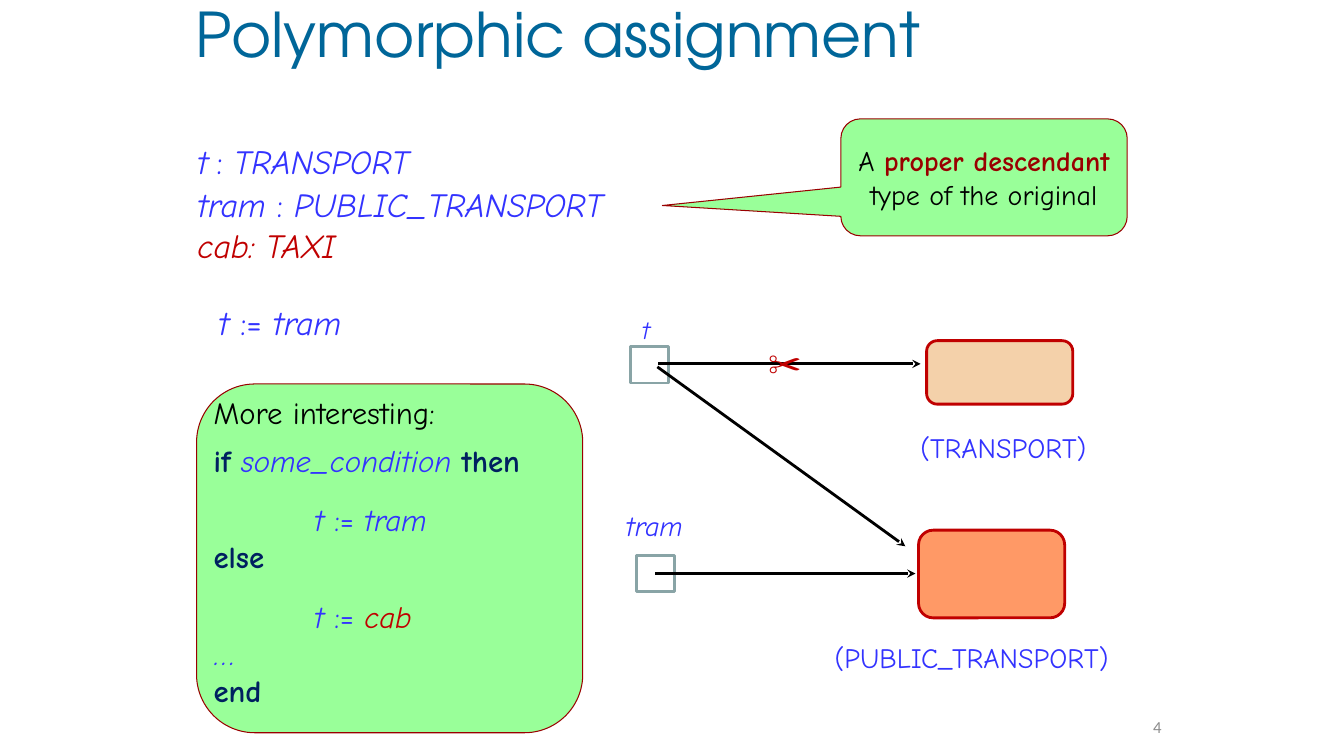
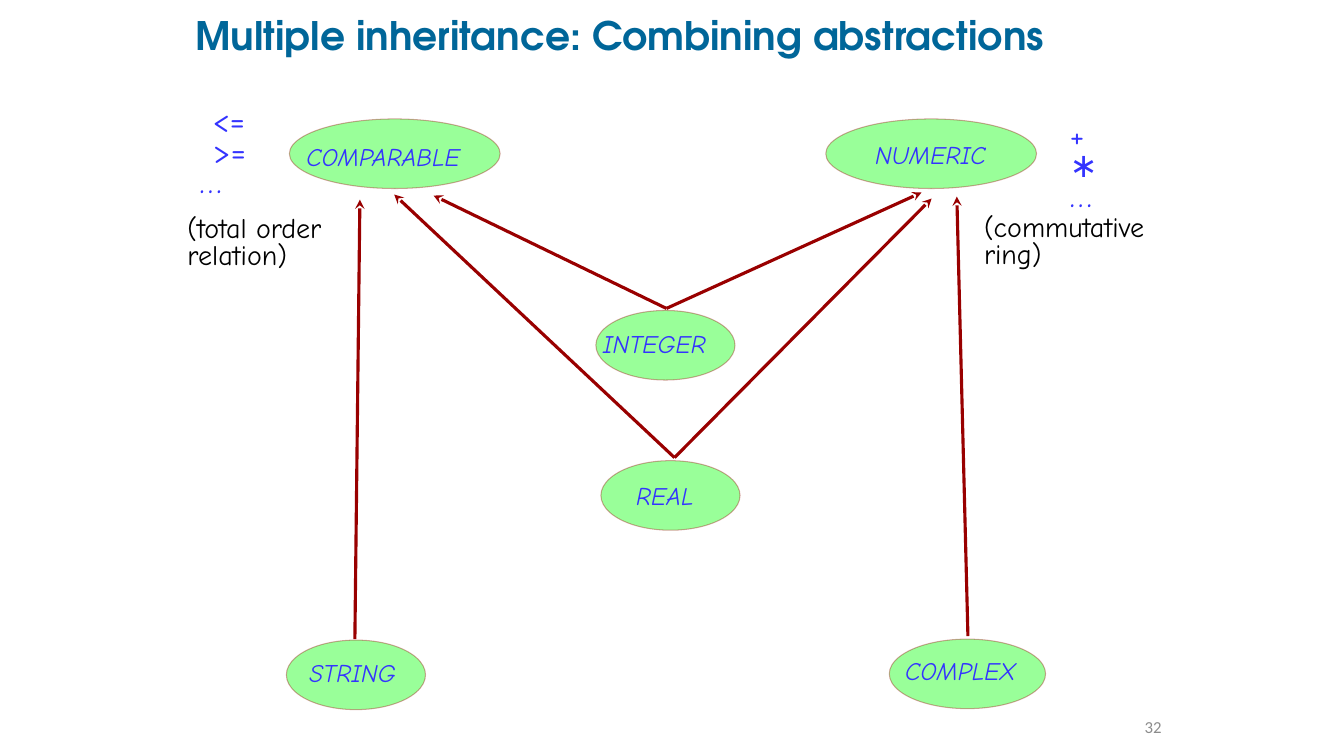
from dataclasses import dataclass

from lxml.etree import SubElement
from pptx import Presentation
from pptx.dml.color import RGBColor
from pptx.enum.shapes import MSO_CONNECTOR, MSO_SHAPE
from pptx.enum.text import MSO_ANCHOR, MSO_AUTO_SIZE, PP_ALIGN
from pptx.oxml.ns import qn
from pptx.util import Inches, Pt


@dataclass(frozen=True)
class Theme:
    # Colours
    title: str = "006699"
    code: str = "3333FF"
    keyword: str = "002060"
    accent: str = "C00000"
    outline: str = "990000"
    panel: str = "99FF99"
    transport: str = "F4D1AA"
    public_transport: str = "FF9966"
    reference: str = "89A4A6"
    ink: str = "000000"
    muted: str = "8C8C8C"
    # Fonts
    title_font: str = "TeX Gyre Adventor"
    text_font: str = "Comic Neue"
    symbol_font: str = "Roboto"
    number_font: str = "Calibri"
    # Type sizes
    heading: int = 44
    subheading: int = 28
    large: int = 24
    example: int = 22
    medium: int = 20
    small: int = 18
    number: int = 12


THEME = Theme()
TEXT_INSETS = (0.1, 0.05, 0.1, 0.05)
NO_INSETS = (0, 0, 0, 0)


@dataclass
class Para:
    """Text is a string, or a list of (text, style changes) pairs."""
    text: object
    size: int = THEME.large
    color: str = THEME.code
    font: str = THEME.text_font
    bold: bool = False
    italic: bool = False
    spacing: float = 1.0
    before: float = 0
    indent: float = 0
    align: object = PP_ALIGN.LEFT

    def style(self, **changes):
        base = dict(size=self.size, color=self.color, face=self.font,
                    bold=self.bold, italic=self.italic)
        return {**base, **changes}


# Text
def set_font(font, face, size, color, bold, italic):
    font.name = face
    font.size = Pt(size)
    font.bold = bold
    font.italic = italic
    font.color.rgb = RGBColor.from_string(color)


def set_text(frame, paras, insets=TEXT_INSETS, anchor=MSO_ANCHOR.TOP):
    frame.word_wrap = True
    frame.auto_size = MSO_AUTO_SIZE.NONE
    frame.vertical_anchor = anchor
    (frame.margin_left, frame.margin_top,
     frame.margin_right, frame.margin_bottom) = map(Inches, insets)
    for index, para in enumerate(paras):
        line = frame.add_paragraph() if index else frame.paragraphs[0]
        line.alignment = para.align
        line.line_spacing = para.spacing
        line.space_before = Pt(para.before)
        line.space_after = Pt(0)
        properties = line._p.get_or_add_pPr()
        properties.set("marL", str(Inches(para.indent)))
        properties.set("indent", "0")
        SubElement(properties, qn("a:buNone"))
        if isinstance(para.text, str):
            line.add_run().text = para.text
            set_font(line.font, **para.style())
        else:
            for text, changes in para.text:
                run = line.add_run()
                run.text = text
                set_font(run.font, **para.style(**changes))


def place(shape, at):
    shape.left, shape.top, shape.width, shape.height = map(Inches, at)


def add_title(slide, text, width, size, bold=False):
    title = slide.shapes.title
    place(title, (1.94, 0.13, width, 0.48))
    heading = Para(text, size, THEME.title, THEME.title_font, bold, spacing=0.9)
    set_text(title.text_frame, [heading], NO_INSETS, MSO_ANCHOR.MIDDLE)


def add_text(slide, at, *paras, insets=TEXT_INSETS, anchor=MSO_ANCHOR.TOP):
    box = slide.shapes.add_textbox(*map(Inches, at))
    set_text(box.text_frame, paras, insets, anchor)


def add_slide_number(slide, number):
    add_text(slide, (11.02, 6.93, 0.6, 0.57),
             Para(number, THEME.number, THEME.muted, THEME.number_font,
                  align=PP_ALIGN.RIGHT),
             insets=(0.1, 0.1, 0.1, 0.1), anchor=MSO_ANCHOR.MIDDLE)


# Shapes and arrows
def add_figure(slide, kind, at, fill, line, weight, adjustments=(), alpha=None):
    figure = slide.shapes.add_shape(kind, *map(Inches, at))
    figure.shadow.inherit = False
    for index, value in enumerate(adjustments):
        figure.adjustments[index] = value
    if fill:
        figure.fill.solid()
        figure.fill.fore_color.rgb = RGBColor.from_string(fill)
    else:
        figure.fill.background()
    figure.line.color.rgb = RGBColor.from_string(line)
    figure.line.width = Pt(weight)
    if alpha:
        color = figure.line._ln.find(".//" + qn("a:srgbClr"))
        SubElement(color, qn("a:alpha")).set("val", str(alpha * 1000))
    return figure


def add_arrow(slide, start, end, color, weight):
    arrow = slide.shapes.add_connector(
        MSO_CONNECTOR.STRAIGHT, *map(Inches, (*start, *end)))
    arrow.line.color.rgb = RGBColor.from_string(color)
    arrow.line.width = Pt(weight)
    SubElement(arrow.line._ln, qn("a:tailEnd")).set("type", "stealth")
    SubElement(arrow._element.spPr, qn("a:effectLst"))


def add_class(slide, name, left, top, width, label_at):
    add_figure(slide, MSO_SHAPE.OVAL, (left, top, width, 0.69),
               THEME.panel, THEME.outline, 0.75, alpha=34)
    add_text(slide, (*label_at, 2.05, 0.4),
             Para(name, THEME.small, italic=True))


# Slides
def build_assignment(deck):
    slide = deck.slides.add_slide(deck.slide_layouts[1])
    add_title(slide, "Polymorphic assignment", 8.69, THEME.heading)
    upright = {"italic": False}

    # Declarations
    declarations = slide.placeholders[1]
    place(declarations, (1.86, 1.39, 9.12, 1.04))
    set_text(declarations.text_frame, [
        Para([("t", {}), (" ", {"size": THEME.small}), (":", upright),
              (" TRANSPORT", {})], italic=True, spacing=0.9),
        Para([("tram ", {}), (":", upright), (" PUBLIC_TRANSPORT", {})],
             italic=True, spacing=0.9, before=4.8),
    ])
    add_text(slide, (1.86, 2.18, 2.5, 0.5),
             Para("cab: TAXI", color=THEME.accent, italic=True))
    assignment = [("t ", {}), (":=", upright), (" tram", {})]
    add_text(slide, (2.07, 2.95, 2.5, 0.5), Para(assignment, italic=True))

    # Objects and the references to them
    for at, fill in (((9.19, 3.38, 1.45, 0.63), THEME.transport),
                     ((9.11, 5.26, 1.45, 0.87), THEME.public_transport)):
        add_figure(slide, MSO_SHAPE.ROUNDED_RECTANGLE, at, fill,
                   THEME.accent, 2, (0.167,))
    for left, top in ((6.25, 3.44), (6.31, 5.51)):
        add_figure(slide, MSO_SHAPE.RECTANGLE, (left, top, 0.38, 0.36), None,
                   THEME.reference, 2)
    for start, end in (((6.53, 3.61), (9.13, 3.61)),
                       ((6.52, 3.64), (8.98, 5.42)),
                       ((6.5, 5.69), (9.08, 5.69))):
        add_arrow(slide, start, end, THEME.ink, 2)
    for name, at, size, italic in (
            ("(TRANSPORT)", (9.03, 4.22, 2.29, 0.44), THEME.medium, False),
            ("(PUBLIC_TRANSPORT)", (8.18, 6.31, 3.38, 0.44), THEME.medium, False),
            ("t", (6.27, 3.07, 0.41, 0.4), THEME.small, True),
            ("tram", (6.11, 5, 0.93, 0.44), THEME.medium, True)):
        add_text(slide, at, Para(name, size, italic=italic))
    add_text(slide, (7.52, 3.35, 0.59, 0.5), Para("✂", color=THEME.accent))

    # Callout
    callout = add_figure(slide, MSO_SHAPE.ROUNDED_RECTANGULAR_CALLOUT,
                         (8.34, 1.18, 2.84, 1.16), THEME.panel,
                         THEME.outline, 0.75, (-1.123, 0.241, 0.167))
    set_text(callout.text_frame, [
        Para([("A ", {}),
              ("proper descendant ", {"color": THEME.outline, "bold": True}),
              ("type of the original", {})],
             THEME.medium, THEME.ink, align=PP_ALIGN.CENTER),
    ], anchor=MSO_ANCHOR.MIDDLE)

    # Conditional example
    example = add_figure(slide, MSO_SHAPE.ROUNDED_RECTANGLE,
                         (1.95, 3.81, 3.83, 3.46), THEME.panel,
                         THEME.outline, 0.75, (0.167,))
    keyword = {"color": THEME.keyword, "bold": True}
    size = THEME.example
    set_text(example.text_frame, [
        Para("More interesting:", size, THEME.ink, spacing=0.8),
        Para([("if", keyword), (" some_condition ", {"italic": True}),
              ("then", keyword)], size, before=8),
        Para(assignment, size, italic=True, before=16, indent=1),
        Para("else", size, **keyword),
        Para([("t ", {}), (":= ", upright), ("cab", {"color": THEME.accent})],
             size, italic=True, before=16, indent=1),
        Para("…", size, italic=True),
        Para("end", size, **keyword),
    ], insets=(0, 0, 0, 0.05))
    add_slide_number(slide, "4")


def build_inheritance(deck):
    slide = deck.slides.add_slide(deck.slide_layouts[5])
    add_title(slide, "Multiple inheritance: Combining abstractions", 9.31,
              THEME.subheading, bold=True)

    # Classes
    for name, left, top, width, label_at in (
            ("COMPARABLE", 2.87, 1.18, 2.09, (2.94, 1.35)),
            ("NUMERIC", 8.19, 1.18, 2.09, (8.58, 1.33)),
            ("INTEGER", 5.91, 3.08, 1.38, (5.88, 3.21)),
            ("REAL", 5.96, 4.57, 1.38, (6.21, 4.72)),
            ("STRING", 2.84, 6.35, 1.38, (2.97, 6.47)),
            ("COMPLEX", 8.82, 6.34, 1.55, (8.88, 6.45))):
        add_class(slide, name, left, top, width, label_at)

    # Inheritance links, from heir to parents
    for heir, parents in (
            ((6.61, 3.06), ((4.3, 1.94), (9.14, 1.91))),
            ((6.69, 4.54), ((3.91, 1.93), (9.24, 1.97))),
            ((3.52, 6.34), ((3.57, 1.98),)),
            ((9.6, 6.31), ((9.49, 1.95),))):
        for parent in parents:
            add_arrow(slide, heir, parent, THEME.outline, 2.25)

    # Operators of each abstraction
    add_text(slide, (1.78, 1.03, 1.3, 0.95),
             Para("<=", spacing=0.75, indent=0.23),
             Para(">=", spacing=0.75, indent=0.23),
             Para("…", spacing=0.75, indent=0.1))
    add_text(slide, (10.51, 1.17, 0.95, 0.96),
             Para("+", spacing=0.75),
             Para("∗", font=THEME.symbol_font, spacing=0.75),
             Para("…", spacing=0.75))
    for note, left, top in (("(total order relation)", 1.86, 2.15),
                            ("(commutative ring)", 9.76, 2.14)):
        add_text(slide, (left, top, 1.9, 0.54),
                 Para(note, THEME.medium, THEME.ink, spacing=0.8),
                 insets=NO_INSETS)
    add_slide_number(slide, "32")


def main():
    deck = Presentation()
    deck.slide_width, deck.slide_height = Inches(13.33), Inches(7.5)
    build_assignment(deck)
    build_inheritance(deck)
    deck.save("out.pptx")


main()
